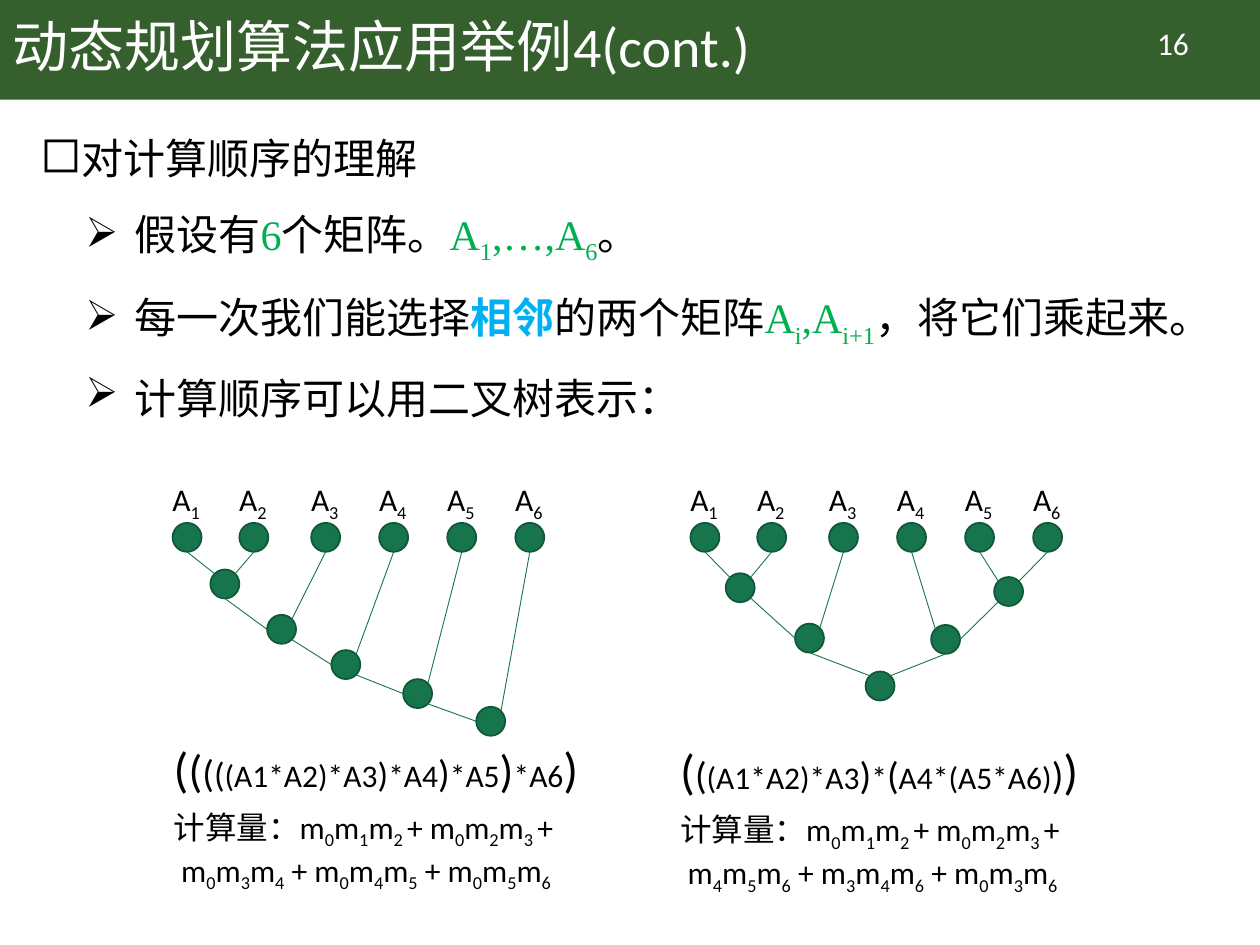
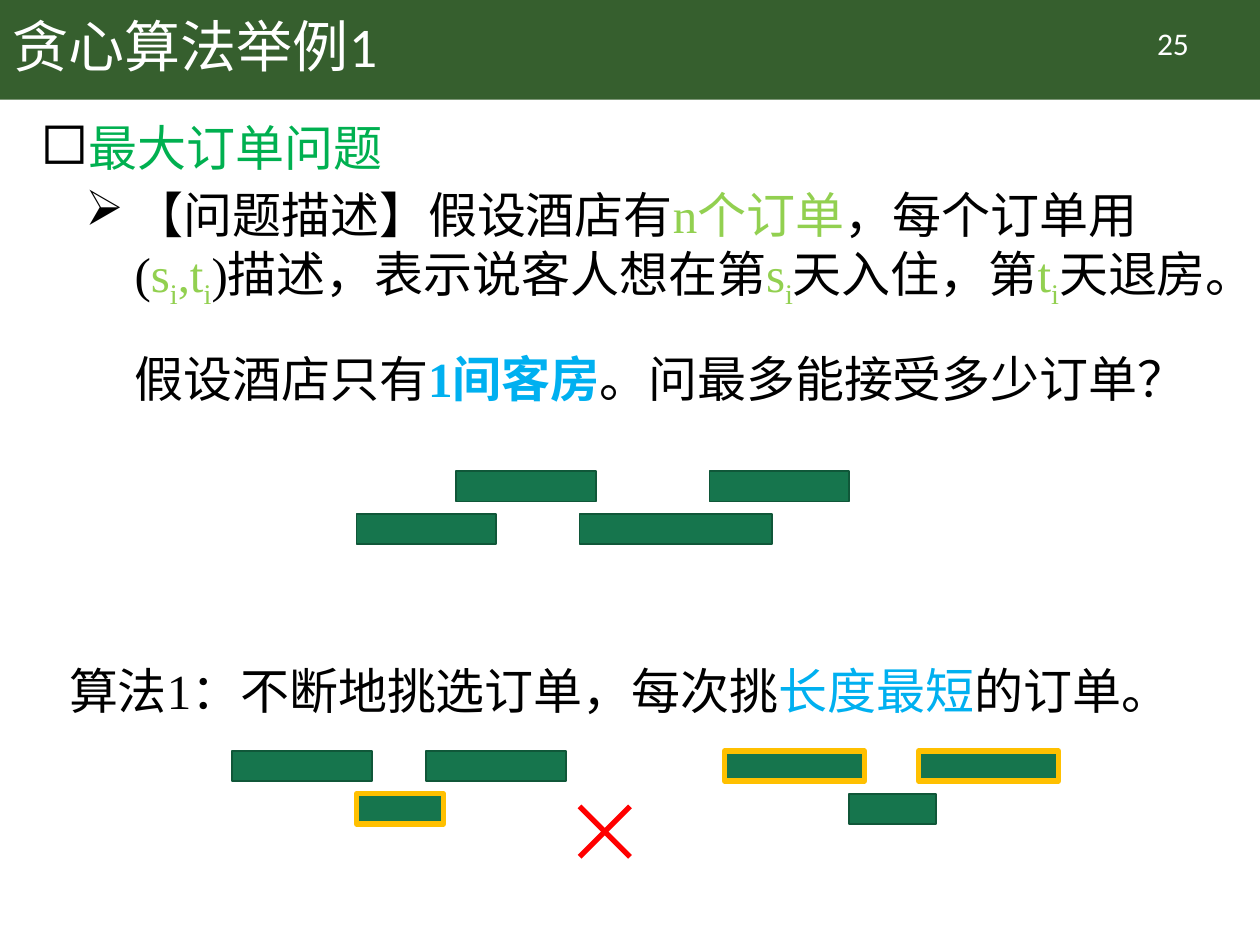
from lxml.etree import SubElement
from pptx import Presentation
from pptx.dml.color import RGBColor
from pptx.enum.lang import MSO_LANGUAGE_ID as LANG
from pptx.enum.shapes import MSO_CONNECTOR, MSO_SHAPE
from pptx.enum.text import MSO_ANCHOR, PP_ALIGN
from pptx.oxml.ns import qn
from pptx.util import Inches, Pt

COLORS = {
    "band": "365F2E", "white": "FFFFFF", "black": "000000",
    "fill": "16754D", "edge": "105739", "green": "00B050",
    "lime": "92D050", "blue": "00B0F0", "chosen": "FFC000", "cross": "FF0000",
}
SANS, SERIF = "Calibri", "Times New Roman"
BODY_BOX = (0.22, 0.88, 9.57, 6.47)
GREEN, LIME, BLUE = ({"color": name} for name in ("green", "lime", "blue"))
KEY = {"color": "blue", "bold": True}

# Direction from the centre of a node to a point on its rim
DIAGONAL = 0.707
RIM = {
    "left": (-1, 0), "right": (1, 0), "bottom": (0, 1),
    "top left": (-DIAGONAL, -DIAGONAL), "top right": (DIAGONAL, -DIAGONAL),
    "bottom left": (-DIAGONAL, DIAGONAL), "bottom right": (DIAGONAL, DIAGONAL),
}
NODE = 0.23
LEAVES = [(x, 0) for x in (0, 0.53, 1.1, 1.64, 2.18, 2.72)]

# Inner nodes, and edges as (child, rim of child, parent, rim of parent)
CHAIN_JOINTS = [(0.3, 0.37), (0.75, 0.73), (1.26, 1.01), (1.83, 1.24), (2.41, 1.46)]
CHAIN_EDGES = [(0, "bottom", 6, "top left"), (6, "bottom", 7, "left")]
CHAIN_EDGES += [(leaf, "bottom", leaf + 5, "top right") for leaf in range(1, 6)]
CHAIN_EDGES += [(joint, "bottom right", joint + 1, "left") for joint in (7, 8, 9)]

BALANCED_JOINTS = [(0.28, 0.4), (0.83, 0.8), (2.41, 0.43), (1.91, 0.81), (1.39, 1.18)]
BALANCED_EDGES = [
    (0, "bottom", 6, "top left"), (1, "bottom", 6, "top right"),
    (2, "bottom", 7, "top right"), (6, "bottom right", 7, "left"),
    (4, "bottom", 8, "top left"), (5, "bottom", 8, "top right"),
    (3, "bottom", 9, "top left"), (9, "right", 8, "bottom left"),
    (7, "bottom", 10, "top left"), (9, "bottom", 10, "top right"),
]

# Orders as (offset, row, width)
SAMPLE_ORDERS = [(0.79, 0, 1.11), (2.8, 0, 1.11), (1.77, 1, 1.53), (0, 1, 1.11)]
CONFLICT_ORDERS = [(0, 0, 1.11), (1.54, 0, 1.11), (0.99, 1, 0.69)]


def rgb(name):
    return RGBColor.from_string(COLORS[name])


def add_run(paragraph, text, size=18, color="black", bold=False, font=SANS):
    """Add text; a part in braces is a subscript, a newline a line break."""
    for index, part in enumerate(text.replace("}", "{").split("{")):
        for number, line in enumerate(part.split("\n")):
            if number:
                paragraph.add_line_break()
            if not line:
                continue
            run = paragraph.add_run()
            run.text = line
            run.font.size, run.font.bold, run.font.name = Pt(size), bold, font
            run.font.color.rgb = rgb(color)
            run.font.language_id = LANG.SIMPLIFIED_CHINESE
            if index % 2:
                run.font._element.set("baseline", "-25000")


def set_bullet(paragraph, char, margin, hanging, percent=100):
    props = paragraph._p.get_or_add_pPr()
    props.set("marL", str(Inches(margin)))
    props.set("indent", str(-Inches(hanging)))
    color = SubElement(props, qn("a:buClr"))
    SubElement(color, qn("a:srgbClr"), val=COLORS["black"])
    SubElement(props, qn("a:buSzPct"), val=str(percent * 1000))
    SubElement(props, qn("a:buChar"), char=char)


def add_text(slide, box, paragraphs, before=0, spacing=None, align=None,
             anchor=MSO_ANCHOR.TOP, bullets=(), indents=(), **style):
    """Each paragraph is a string or a list of strings and (text, style) pairs."""
    frame = slide.shapes.add_textbox(*map(Inches, box)).text_frame
    frame.word_wrap, frame.vertical_anchor = True, anchor
    for index, runs in enumerate(paragraphs):
        paragraph = frame.add_paragraph() if index else frame.paragraphs[0]
        if index < len(bullets):
            set_bullet(paragraph, *bullets[index])
        if index < len(indents):
            paragraph._p.get_or_add_pPr().set("marL", str(Inches(indents[index])))
        paragraph.alignment = align
        if spacing:
            paragraph.line_spacing = spacing
        if index and before:
            paragraph.space_before = Pt(before)
        for run in [runs] if isinstance(runs, str) else runs:
            text, special = (run, {}) if isinstance(run, str) else run
            add_run(paragraph, text, **{**style, **special})
    return frame


def add_block(slide, kind, box, fill="fill", edge="edge", width=1):
    block = slide.shapes.add_shape(kind, *map(Inches, box))
    block.shadow.inherit = False
    block.fill.solid()
    block.fill.fore_color.rgb = rgb(fill)
    if edge:
        block.line.color.rgb = rgb(edge)
        block.line.width = Pt(width)
    else:
        block.line.fill.background()


def add_line(slide, start, end, color="fill", width=0.5):
    line = slide.shapes.add_connector(
        MSO_CONNECTOR.STRAIGHT, *map(Inches, (*start, *end)))
    line.line.color.rgb = rgb(color)
    line.line.width = Pt(width)
    SubElement(line._element.spPr, qn("a:effectLst"))


def add_slide(deck, title, number):
    slide = deck.slides.add_slide(deck.slide_layouts[6])
    add_block(slide, MSO_SHAPE.RECTANGLE, (0, 0, 10, 0.79), "band", None)
    add_text(slide, (0, 0, 8.62, 0.79), [title], size=32, color="white",
             spacing=0.9, anchor=MSO_ANCHOR.MIDDLE)
    add_text(slide, (8.71, 0.14, 1.2, 0.4), [number], color="white",
             align=PP_ALIGN.CENTER)
    return slide


def add_body(slide, heading, points, **style):
    bullets = [("◻", 0.25, 0.25, 120)] + [("➢", 0.75, 0.39)] * len(points)
    add_text(slide, BODY_BOX, [heading, *points], before=5, font=SERIF,
             bullets=bullets, **style)


def add_tree(slide, left, top, joints, edges):
    nodes = [(left + x, top + y) for x, y in LEAVES + joints]
    for x, y in nodes:
        add_block(slide, MSO_SHAPE.OVAL, (x, y, NODE, NODE))

    # Matrix names above the leaves
    for index, (x, y) in enumerate(nodes[:len(LEAVES)], 1):
        add_text(slide, (x - 0.1, y - 0.39, 0.52, 0.4), [f"A{{{index}}}"])

    def rim_point(node, side):
        return [corner + NODE / 2 * (1 + step)
                for corner, step in zip(nodes[node], RIM[side])]

    for child, child_side, parent, parent_side in edges:
        add_line(slide, rim_point(child, child_side), rim_point(parent, parent_side))


def add_cost(slide, left, top, product, last_terms):
    sized = [(text, {"size": size}) for text, size in product]
    frame = add_text(
        slide, (left, top, 3.85, 1.26),
        [sized, "计算量：m{0}m{1}m{2 }+ m{0}m{2}m{3 }+", last_terms],
        indents=(0, 0, 0.06))
    frame.paragraphs[1].space_before = Pt(6)


def add_orders(slide, left, top, orders, chosen=()):
    for index, (offset, row, width) in enumerate(orders):
        edge, weight = ("chosen", 3) if index in chosen else ("edge", 1)
        add_block(slide, MSO_SHAPE.RECTANGLE,
                  (left + offset, top + 0.34 * row, width, 0.24),
                  edge=edge, width=weight)


def add_cross(slide, left, top, size):
    right, bottom = left + size, top + size
    add_line(slide, (left, top), (right, bottom), "cross", 3)
    add_line(slide, (left, bottom), (right, top), "cross", 3)


def build_matrix_slide(deck):
    slide = add_slide(deck, "动态规划算法应用举例4(cont.)", "16")
    add_body(slide, "对计算顺序的理解", [
        ["假设有", ("6", GREEN), "个矩阵。", ("A{1},…,A{6}", GREEN), "。"],
        ["每一次我们能选择", ("相邻", KEY), "的两个矩阵",
         ("A{i},A{i+1}", GREEN), "，将它们乘起来。"],
        "计算顺序可以用二叉树表示：",
    ], size=24, spacing=1.3)

    # Left: one matrix after another
    add_tree(slide, 1.37, 4.15, CHAIN_JOINTS, CHAIN_EDGES)
    add_cost(slide, 1.28, 5.81, [
        ("(", 28), ("(", 26), ("(", 22), ("(", 20), ("(A1*A2)*A3", 18),
        (")", 20), ("*A4", 18), (")", 22), ("*A5", 18), (")", 26),
        ("*A6", 18), (")", 28),
    ], "m{0}m{3}m{4} + m{0}m{4}m{5} + m{0}m{5}m{6}")

    # Right: two halves
    add_tree(slide, 5.48, 4.15, BALANCED_JOINTS, BALANCED_EDGES)
    add_cost(slide, 5.3, 5.83, [
        ("(", 28), ("(", 22), ("(A1*A2)*A3", 18), (")", 22), ("*", 18),
        ("(", 22), ("A4*(A5*A6)", 18), (")", 22), (")", 28),
    ], "m{4}m{5}m{6} + m{3}m{4}m{6} + m{0}m{3}m{6}")


def build_orders_slide(deck):
    slide = add_slide(deck, "贪心算法举例1", "25")
    add_body(slide, [("最大订单问题", GREEN)], [[
        "【问题描述】假设酒店有", ("n个订单", LIME), "，每个订单用(",
        ("s{i},t{i}", LIME), ")描述，表示说客人想在第", ("s{i}", LIME),
        "天入住，第", ("t{i}", LIME), "天退房。\n假设酒店只有",
        ("1间客房", KEY), "。问最多能接受多少订单？",
    ]], size=28)
    add_orders(slide, 2.83, 3.74, SAMPLE_ORDERS)

    # Shortest-first rule and its counterexample
    add_text(slide, (0.45, 5.19, 9.34, 0.66), [[
        "算法1：不断地挑选订单，每次挑", ("长度最短", BLUE), "的订单。",
    ]], size=28, font=SERIF)
    add_cross(slide, 4.6, 6.4, 0.4)
    add_orders(slide, 1.84, 5.96, CONFLICT_ORDERS, chosen=(2,))
    add_orders(slide, 5.75, 5.96, CONFLICT_ORDERS, chosen=(0, 1))


def main():
    deck = Presentation()
    deck.slide_width, deck.slide_height = Inches(10), Inches(7.5)
    build_matrix_slide(deck)
    build_orders_slide(deck)
    deck.save("out.pptx")


if __name__ == "__main__":
    main()
